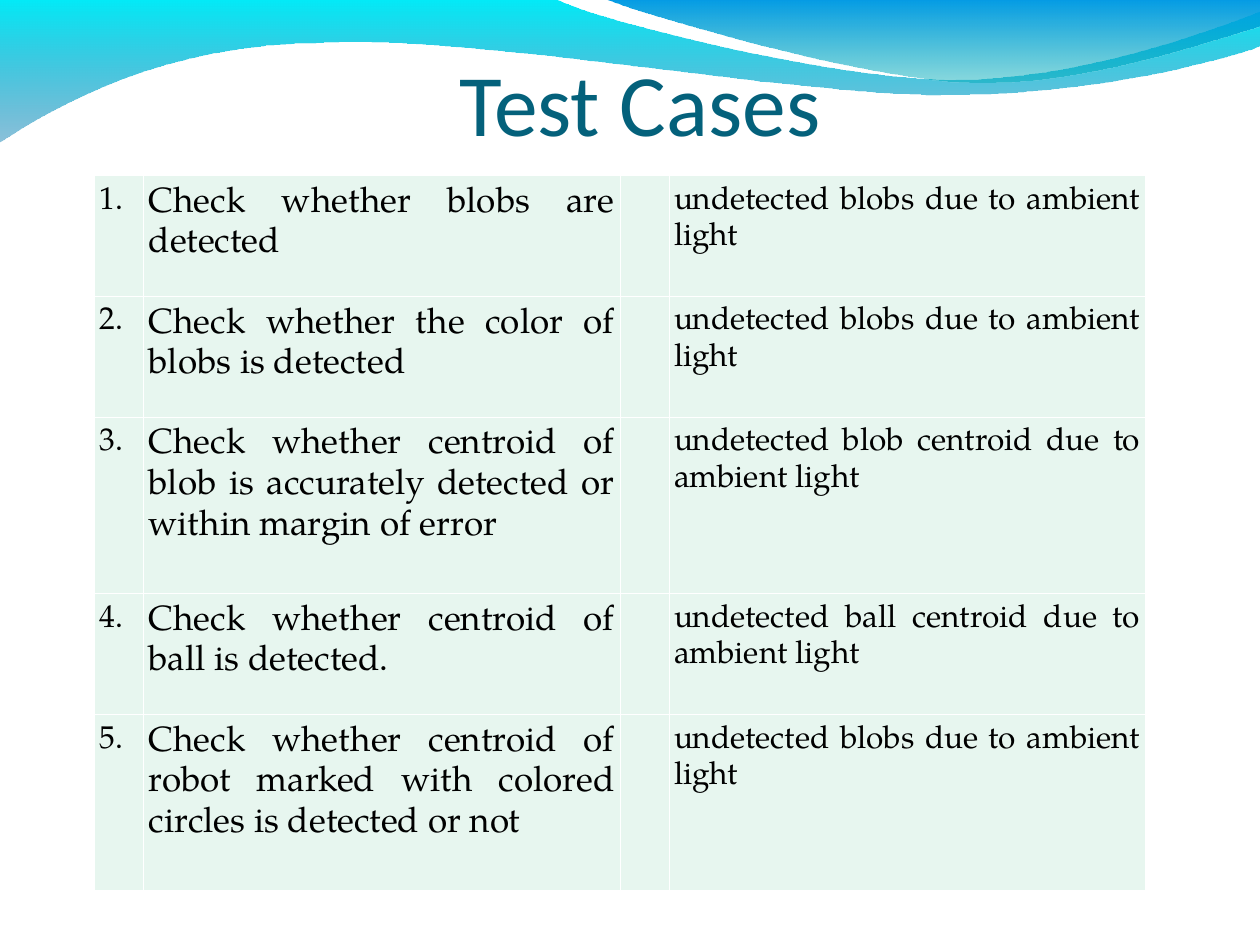
import pptx
import pptx.dml.color
import pptx.enum.text
import pptx.oxml
import pptx.oxml.ns
import pptx.util

Inches, Pt = pptx.util.Inches, pptx.util.Pt
ALIGN = pptx.enum.text.PP_ALIGN
qn, nsdecls = pptx.oxml.ns.qn, pptx.oxml.ns.nsdecls

COLORS = {
    "title": "04617B", "text": "000000", "cell": "E7F6EF", "border": "FFFFFF",
    "cyan": "00EBF8", "teal": "0079AF", "blue": "009BE5", "aqua": "00ADB6",
}
TITLE = "Test Cases"
AMBIENT = "due to ambient light"
TEST_CASES = [
    ("Check whether blobs are detected", f"undetected blobs {AMBIENT}"),
    ("Check whether the color of blobs is detected", f"undetected blobs {AMBIENT}"),
    ("Check whether centroid of blob is accurately detected or within margin of error",
     f"undetected blob centroid {AMBIENT}"),
    ("Check whether centroid of ball is detected.", f"undetected ball centroid {AMBIENT}"),
    ("Check whether centroid of robot marked with colored circles is detected or not",
     f"undetected blobs {AMBIENT}"),
]
NARROW, WIDE = 0.39, 3.78
COLUMN_WIDTHS = [NARROW, WIDE, NARROW, WIDE]
COLUMN_SIZES = [18, 20, 18, 18]
SHORT_ROW, TALL_ROW = 0.96, 1.4
ROW_HEIGHTS = [SHORT_ROW, SHORT_ROW, TALL_ROW, SHORT_ROW, TALL_ROW]

# Each step holds one point for a line, or three points for a Bezier curve.
WAVES = [
    ("cyan", "teal", (0, -0.01), [
        [(4.4, -0.01)],
        [(4.76, 0.17), (6.64, 0.63), (7.58, 0.63)],
        [(8.53, 0.63), (9.58, 0.26), (10, 0.09)],
        [(10.01, 0.36)],
        [(9.83, 0.44), (8.7, 0.76), (7.46, 0.75)],
        [(6.22, 0.75), (3.82, 0.28), (2.57, 0.34)],
        [(1.29, 0.35), (0.46, 0.83), (-0.01, 1.13)],
    ]),
    ("blue", "aqua", (4.79, -0.01), [
        [(5.09, 0.11), (6.82, 0.62), (7.69, 0.65)],
        [(8.56, 0.69), (9.61, 0.32), (10, 0.21)],
        [(10, 0)],
    ]),
]


def rgb(name):
    return pptx.dml.color.RGBColor.from_string(COLORS[name])


def bend_curves(wave, steps):
    """Turn each run of three line segments that stands for a curve into one Bezier segment."""
    lines = iter(wave.element.findall(".//" + qn("a:lnTo")))
    for points in steps:
        segments = [next(lines) for _ in points]
        if len(points) == 3:
            curve = pptx.oxml.parse_xml(f'<a:cubicBezTo {nsdecls("a")}/>')
            segments[0].addprevious(curve)
            for segment in segments:
                curve.append(segment[0])
                segment.getparent().remove(segment)


def add_wave(slide, top_color, bottom_color, start, steps):
    builder = slide.shapes.build_freeform(Inches(start[0]), Inches(start[1]))
    builder.add_line_segments(
        [(Inches(x), Inches(y)) for points in steps for x, y in points], close=True)
    wave = builder.convert_to_shape()
    bend_curves(wave, steps)
    wave.shadow.inherit = False
    wave.line.fill.background()
    wave.fill.gradient()
    wave.fill.gradient_angle = 270
    for stop, position, color in zip(wave.fill.gradient_stops, (0, 1), (top_color, bottom_color)):
        stop.position = position
        stop.color.rgb = rgb(color)
    bottom_fill = wave.element.findall(".//" + qn("a:srgbClr"))[-1]
    bottom_fill.append(pptx.oxml.parse_xml(f'<a:alpha {nsdecls("a")} val="45000"/>'))
    return wave


def write(paragraph, text, size, color, font, align):
    paragraph.alignment = align
    run = paragraph.add_run()
    run.text = text
    run.font.size = Pt(size)
    run.font.name = font
    run.font.color.rgb = rgb(color)


def add_borders(cell):
    properties = cell._tc.get_or_add_tcPr()
    for index, side in enumerate(("lnL", "lnR", "lnT", "lnB")):
        properties.insert(index, pptx.oxml.parse_xml(
            f'<a:{side} {nsdecls("a")} w="{Pt(0.45)}"><a:solidFill>'
            f'<a:srgbClr val="{COLORS["border"]}"/></a:solidFill></a:{side}>'))


def add_test_table(slide):
    rows = [(f"{number}.", check, "", risk)
            for number, (check, risk) in enumerate(TEST_CASES, 1)]
    table = slide.shapes.add_table(
        len(rows), len(COLUMN_WIDTHS), Inches(0.75), Inches(1.39),
        Inches(sum(COLUMN_WIDTHS)), Inches(sum(ROW_HEIGHTS))).table
    table.first_row = table.horz_banding = False
    for column, width in zip(table.columns, COLUMN_WIDTHS):
        column.width = Inches(width)
    for row, height, texts in zip(table.rows, ROW_HEIGHTS, rows):
        row.height = Inches(height)
        for cell, text, size in zip(row.cells, texts, COLUMN_SIZES):
            cell.fill.solid()
            cell.fill.fore_color.rgb = rgb("cell")
            add_borders(cell)
            cell.margin_left = cell.margin_right = Inches(0.04)
            cell.margin_top = cell.margin_bottom = Inches(0.05)
            if text:
                paragraph = cell.text_frame.paragraphs[0]
                paragraph.line_spacing = 1.15
                write(paragraph, text, size, "text", "TeX Gyre Pagella", ALIGN.JUSTIFY)


def main():
    deck = pptx.Presentation()
    deck.slide_width, deck.slide_height = Inches(10), Inches(7.5)
    slide = deck.slides.add_slide(deck.slide_layouts[5])

    title = slide.shapes.title
    for wave in WAVES:
        title.element.addprevious(add_wave(slide, *wave).element)

    title.left, title.top = Inches(0.58), Inches(-0.5)
    title.width, title.height = Inches(9), Inches(1.72)
    frame = title.text_frame
    frame.auto_size = pptx.enum.text.MSO_AUTO_SIZE.NONE
    frame.vertical_anchor = pptx.enum.text.MSO_ANCHOR.BOTTOM
    frame.margin_left = frame.margin_right = frame.margin_bottom = 0
    frame.margin_top = Inches(0.05)
    write(frame.paragraphs[0], TITLE, 50, "title", "Calibri", ALIGN.CENTER)

    add_test_table(slide)
    deck.save("out.pptx")


if __name__ == "__main__":
    main()
